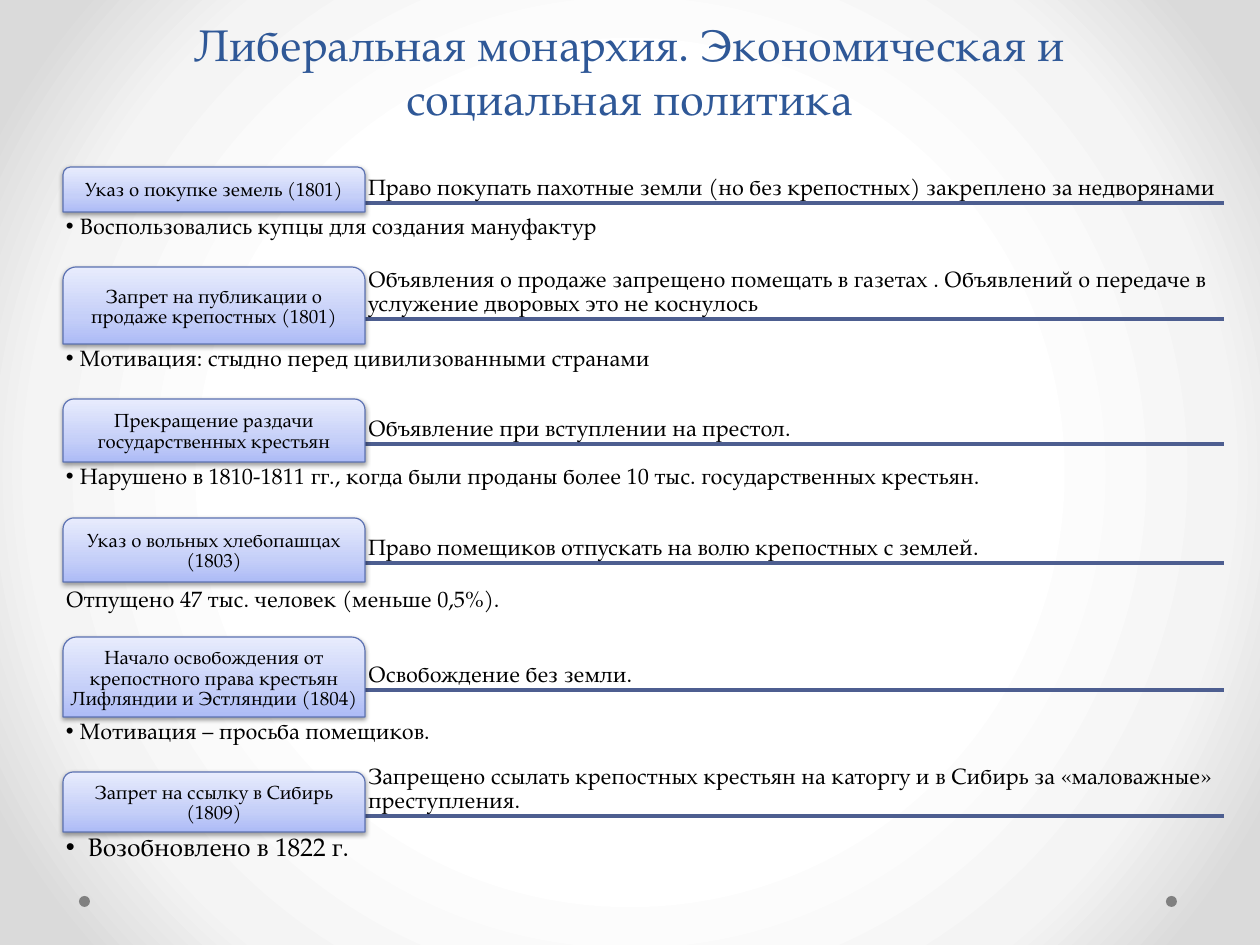
from lxml.etree import SubElement
from pptx import Presentation
from pptx.dml.color import RGBColor
from pptx.enum.shapes import MSO_CONNECTOR, MSO_SHAPE
from pptx.enum.text import MSO_ANCHOR, MSO_AUTO_SIZE, PP_ALIGN
from pptx.oxml.ns import qn
from pptx.util import Emu, Pt

SCALE = 8000
FONT = "TeX Gyre Pagella"
BLACK = RGBColor(0, 0, 0)
TITLE_BLUE = RGBColor(0x2F, 0x58, 0x97)
RULE_BLUE = RGBColor(0x4D, 0x5E, 0x90)
EDGE_BLUE = RGBColor(0x5C, 0x72, 0xB2)
DOT_GREY = RGBColor(0x80, 0x80, 0x80)
LABEL_STOPS = [
    (0, RGBColor(0xAD, 0xBB, 0xF6)),
    (35, RGBColor(0xC5, 0xCF, 0xF8)),
    (100, RGBColor(0xE8, 0xEC, 0xFD)),
]
PAGE_STOPS = [
    (50, RGBColor(0xFF, 0xFF, 0xFF)),
    (76, RGBColor(0xF4, 0xF4, 0xF4)),
    (92, RGBColor(0xDA, 0xDA, 0xDA)),
]

LEFT, SPLIT, RIGHT = 63, 365, 1224
RULE_TEXT_HEIGHT, NOTE_HEIGHT = 27, 54
TITLE = "Либеральная монархия. Экономическая и социальная политика"
BULLETED = {"indent": 14, "size": 14, "spacing": 0.9}
PLAIN = {"indent": 0, "size": 14, "spacing": 1.0}
LARGE = {"indent": 22, "size": 16, "spacing": 0.9}

DECREES = [
    (167, 45, 203, "Указ о покупке земель (1801)",
     "Право покупать пахотные земли (но без крепостных) закреплено за недворянами",
     "Воспользовались купцы для создания мануфактур", BULLETED),
    (267, 77, 319, "Запрет на публикации о продаже крепостных (1801)",
     "Объявления о продаже запрещено помещать в газетах . "
     "Объявлений о передаче в услужение дворовых это не коснулось",
     "Мотивация: стыдно перед цивилизованными странами", BULLETED),
    (399, 63, 444, "Прекращение раздачи государственных крестьян",
     "Объявление при вступлении на престол.",
     "Нарушено в 1810-1811 гг., когда были проданы более 10 тыс. государственных крестьян.",
     BULLETED),
    (518, 64, 563, "Указ о вольных хлебопашцах (1803)",
     "Право помещиков отпускать на волю крепостных с землей.",
     "Отпущено 47 тыс. человек (меньше 0,5%).", PLAIN),
    (637, 80, 690, "Начало освобождения от крепостного права крестьян Лифляндии и Эстляндии (1804)",
     "Освобождение без земли.",
     "Мотивация – просьба помещиков.", BULLETED),
    (772, 60, 816, "Запрет на ссылку в Сибирь (1809)",
     "Запрещено ссылать крепостных крестьян на каторгу и в Сибирь за «маловажные» преступления.",
     "Возобновлено в 1822 г.", LARGE),
]


def px(*lengths):
    return [Emu(length * SCALE) for length in lengths]


def apply(target, values):
    for name, value in values.items():
        setattr(target, name, value)


class DecreePage:
    def __init__(self, deck):
        self.page = deck.slides.add_slide(deck.slide_layouts[5])
        self.font = {"name": FONT, "size": Pt(14)}
        self.frame = dict(zip(
            ("margin_left", "margin_top", "margin_right", "margin_bottom"), px(3, 3, 3, 3)))
        self.frame.update(word_wrap=True, auto_size=MSO_AUTO_SIZE.NONE)

    def gradient(self, fill, parent, stops, angle=None):
        fill.solid()
        solid = parent.find(qn("a:solidFill"))
        blend = SubElement(parent, qn("a:gradFill"), rotWithShape="1")
        parent.replace(solid, blend)
        stop_list = SubElement(blend, qn("a:gsLst"))
        for position, color in stops:
            stop = SubElement(stop_list, qn("a:gs"), pos=str(position * 1000))
            SubElement(stop, qn("a:srgbClr"), val=str(color))
        if angle is None:
            circle = SubElement(blend, qn("a:path"), path="circle")
            SubElement(circle, qn("a:fillToRect"), l="50000", t="50000", r="50000", b="50000")
        else:
            SubElement(blend, qn("a:lin"), ang=str(angle * 60000), scaled="0")

    def backdrop(self):
        fill = self.page.background.fill
        fill.solid()
        parent = self.page.element.cSld.find(qn("p:bg")).find(qn("p:bgPr"))
        self.gradient(fill, parent, PAGE_STOPS)

    def fill_text(self, box, text, size=14, color=BLACK, align=PP_ALIGN.LEFT,
                  spacing=0.9, indent=0, **frame):
        apply(box.text_frame, {**self.frame, **frame})
        para = box.text_frame.paragraphs[0]
        if indent:
            properties = para._p.get_or_add_pPr()
            properties.set("marL", str(indent * SCALE))
            properties.set("indent", str(-indent * SCALE))
            SubElement(properties, qn("a:buFont"), typeface="Arial")
            SubElement(properties, qn("a:buChar"), char="•")
        apply(para, {"alignment": align, "line_spacing": spacing})
        span = para.add_run()
        span.text = text
        apply(span.font, {**self.font, "size": Pt(size)})
        span.font.color.rgb = color

    def title(self, text):
        box = self.page.shapes.title
        apply(box, dict(zip(("left", "top", "width", "height"), px(63, 14, 1134, 117))))
        side, edge = px(13, 7)
        self.fill_text(box, text, 28, TITLE_BLUE, PP_ALIGN.CENTER, 1.0,
                       vertical_anchor=MSO_ANCHOR.BOTTOM, margin_left=side,
                       margin_right=side, margin_top=edge, margin_bottom=edge)

    def text(self, left, top, width, height, words, **style):
        box = self.page.shapes.add_textbox(*px(left, top, width, height))
        self.fill_text(box, words, **style)

    def rule(self, y):
        line = self.page.shapes.add_connector(MSO_CONNECTOR.STRAIGHT, *px(LEFT, y, RIGHT, y))
        line.line.color.rgb = RULE_BLUE
        line.line.width = Pt(2.25)
        SubElement(line._element.spPr, qn("a:effectLst"))

    def dot(self, left):
        dot = self.page.shapes.add_shape(MSO_SHAPE.OVAL, *px(left, 896, 11, 11))
        dot.shadow.inherit = False
        dot.fill.solid()
        dot.fill.fore_color.rgb = DOT_GREY
        dot.line.fill.background()

    def label(self, top, height, words):
        box = self.page.shapes.add_shape(
            MSO_SHAPE.ROUND_2_SAME_RECTANGLE, *px(LEFT, top, SPLIT - LEFT, height))
        box.adjustments[0] = 0.17
        properties = box._element.spPr
        self.gradient(box.fill, properties, LABEL_STOPS, 270)
        box.line.color.rgb = EDGE_BLUE
        box.line.width = Pt(0.75)
        box.shadow.inherit = False
        shadow = SubElement(properties.find(qn("a:effectLst")), qn("a:outerShdw"),
                            blurRad=str(int(Pt(3.1))), dist=str(int(Pt(1.6))),
                            dir="5400000", rotWithShape="0")
        tone = SubElement(shadow, qn("a:srgbClr"), val=str(BLACK))
        SubElement(tone, qn("a:alpha"), val="38000")
        self.fill_text(box, words, 12, align=PP_ALIGN.CENTER,
                       vertical_anchor=MSO_ANCHOR.MIDDLE)


def main():
    deck = Presentation()
    deck.slide_width, deck.slide_height = px(1260, 945)
    sheet = DecreePage(deck)
    sheet.backdrop()
    for left in (1166, 79):
        sheet.dot(left)
    sheet.title(TITLE)
    for decree in DECREES:
        sheet.rule(decree[2])
    for top, height, rule, name, summary, note, note_style in DECREES:
        sheet.text(SPLIT, rule - RULE_TEXT_HEIGHT, RIGHT - SPLIT, RULE_TEXT_HEIGHT, summary,
                   spacing=note_style["spacing"], vertical_anchor=MSO_ANCHOR.BOTTOM)
        sheet.label(top, height, name)
        sheet.text(LEFT, top + height, RIGHT - LEFT, NOTE_HEIGHT, note, **note_style)
    deck.save("out.pptx")


if __name__ == "__main__":
    main()
